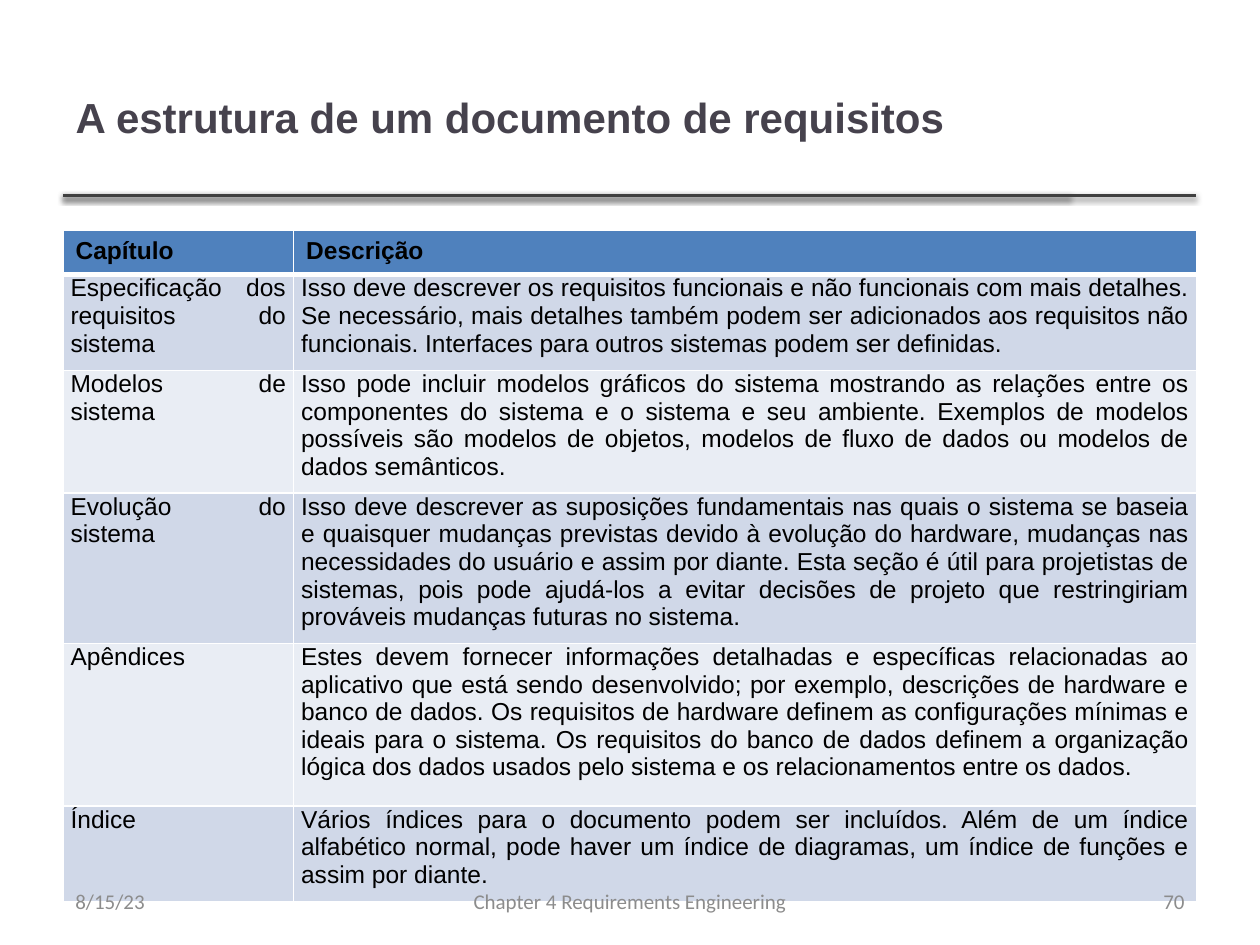
from dataclasses import dataclass

from lxml.etree import SubElement
from pptx import Presentation
from pptx.dml.color import RGBColor as Rgb
from pptx.enum.shapes import MSO_CONNECTOR as Link
from pptx.enum.text import MSO_ANCHOR as Anchor, PP_ALIGN as Align
from pptx.oxml import parse_xml
from pptx.oxml.ns import nsdecls, qn
from pptx.util import Inches, Pt


@dataclass(frozen=True)
class Theme:
    title: str = "46424D"
    rule: str = "404040"
    text: str = "000000"
    foot: str = "8C8C8C"
    head: str = "4F81BD"
    bands: tuple = ("D0D8E8", "E9EDF4")
    edge: str = "FFFFFF"
    face: str = "Arial"
    small: str = "Calibri"
    big: int = 24
    body: int = 14
    note: int = 12


THEME = Theme()

ROWS = [
    ("Capítulo", "Descrição"),
    ("Especificação dos requisitos do sistema",
     "Isso deve descrever os requisitos funcionais e não funcionais com mais detalhes. "
     "Se necessário, mais detalhes também podem ser adicionados aos requisitos não "
     "funcionais. Interfaces para outros sistemas podem ser definidas."),
    ("Modelos de sistema",
     "Isso pode incluir modelos gráficos do sistema mostrando as relações entre os "
     "componentes do sistema e o sistema e seu ambiente. Exemplos de modelos possíveis "
     "são modelos de objetos, modelos de fluxo de dados ou modelos de dados semânticos."),
    ("Evolução do sistema",
     "Isso deve descrever as suposições fundamentais nas quais o sistema se baseia e "
     "quaisquer mudanças previstas devido à evolução do hardware, mudanças nas "
     "necessidades do usuário e assim por diante. Esta seção é útil para projetistas de "
     "sistemas, pois pode ajudá-los a evitar decisões de projeto que restringiriam "
     "prováveis mudanças futuras no sistema."),
    ("Apêndices",
     "Estes devem fornecer informações detalhadas e específicas relacionadas ao "
     "aplicativo que está sendo desenvolvido; por exemplo, descrições de hardware e "
     "banco de dados. Os requisitos de hardware definem as configurações mínimas e "
     "ideais para o sistema. Os requisitos do banco de dados definem a organização "
     "lógica dos dados usados pelo sistema e os relacionamentos entre os dados."),
    ("Índice",
     "Vários índices para o documento podem ser incluídos. Além de um índice alfabético "
     "normal, pode haver um índice de diagramas, um índice de funções e assim por diante."),
]
HEIGHTS = [0.35, 0.76, 0.89, 1.09, 1.29, 0.69]
SPLIT = 1.83


def style(para, face, size, color, bold=False, align=Align.LEFT):
    font = para.font
    font.name, font.size, font.bold = face, Pt(size), bold
    font.color.rgb = Rgb.from_string(color)
    para.alignment = align


def add_rule(slide, x, y, width):
    line = slide.shapes.add_connector(
        Link.STRAIGHT, Inches(x), Inches(y), Inches(x + width), Inches(y))
    line.line.color.rgb = Rgb.from_string(THEME.rule)
    line.line.width = Pt(2)
    props = line.element.find(qn("p:spPr"))
    effect = SubElement(props, qn("a:effectLst"))
    shade = SubElement(effect, qn("a:outerShdw"), blurRad=str(Pt(3.1)),
                       dist=str(Pt(1.6)), dir="5400000", rotWithShape="0")
    tint = SubElement(shade, qn("a:srgbClr"), val="000000")
    SubElement(tint, qn("a:alpha"), val="38000")


def add_title(slide, x, y, width, height):
    title = slide.shapes.title
    title.left, title.top = Inches(x), Inches(y)
    title.width, title.height = Inches(width), Inches(height)
    frame = title.text_frame
    frame.text = "A estrutura de um documento de requisitos"
    frame.vertical_anchor = Anchor.MIDDLE
    style(frame.paragraphs[0], THEME.face, THEME.big, THEME.title, True)
    for reach in (width, width + 1):
        add_rule(slide, x, y + height, reach + 0.01)


def set_edges(cell, is_head):
    props = cell._tc.get_or_add_tcPr()
    for spot, side in enumerate("LRTB"):
        width = Pt(3 if is_head and side == "B" else 1)
        props.insert(spot, parse_xml(
            f'<a:ln{side} {nsdecls("a")} w="{width}"><a:solidFill>'
            f'<a:srgbClr val="{THEME.edge}"/></a:solidFill></a:ln{side}>'))


def fill_cell(cell, text, row):
    is_head = row == 0
    cell.text = text
    color = THEME.head if is_head else THEME.bands[(row - 1) % 2]
    cell.fill.solid()
    cell.fill.fore_color.rgb = Rgb.from_string(color)
    if not is_head:
        cell.margin_left = cell.margin_right = Inches(0.06)
        cell.margin_top, cell.margin_bottom = 0, Inches(0.1)
    style(cell.text_frame.paragraphs[0], THEME.face, THEME.body, THEME.text,
          is_head, Align.LEFT if is_head else Align.JUSTIFY)
    set_edges(cell, is_head)


def add_grid(slide, x, y, width):
    table = slide.shapes.add_table(
        len(ROWS), 2, Inches(x), Inches(y), Inches(width), Inches(sum(HEIGHTS))).table
    table.horz_banding = False
    for col, size in zip(table.columns, (SPLIT, width - SPLIT)):
        col.width = Inches(size)
    for row, (texts, height) in enumerate(zip(ROWS, HEIGHTS)):
        table.rows[row].height = Inches(height)
        for col, text in enumerate(texts):
            fill_cell(table.cell(row, col), text, row)


def add_footer(slide, x, y, width, height):
    side, mid = 2.33, 3.17
    parts = [
        ("8/15/23", x, side, Align.LEFT),
        ("Chapter 4 Requirements Engineering", x + (width - mid) / 2, mid, Align.CENTER),
        ("70", x + width - side, side, Align.RIGHT),
    ]
    for text, left, span, align in parts:
        box = slide.shapes.add_textbox(
            Inches(left), Inches(y), Inches(span), Inches(height))
        frame = box.text_frame
        frame.word_wrap = True
        frame.vertical_anchor = Anchor.MIDDLE
        frame.text = text
        style(frame.paragraphs[0], THEME.small, THEME.note, THEME.foot, align=align)


def main():
    deck = Presentation()
    deck.slide_width, deck.slide_height = Inches(10), Inches(7.5)
    slide = deck.slides.add_slide(deck.slide_layouts[5])
    add_title(slide, 0.5, 0.3, 7.98, 1.25)
    add_grid(slide, 0.5, 1.83, 9)
    add_footer(slide, 0.5, 6.95, 9, 0.4)
    deck.save("out.pptx")


if __name__ == "__main__":
    main()
